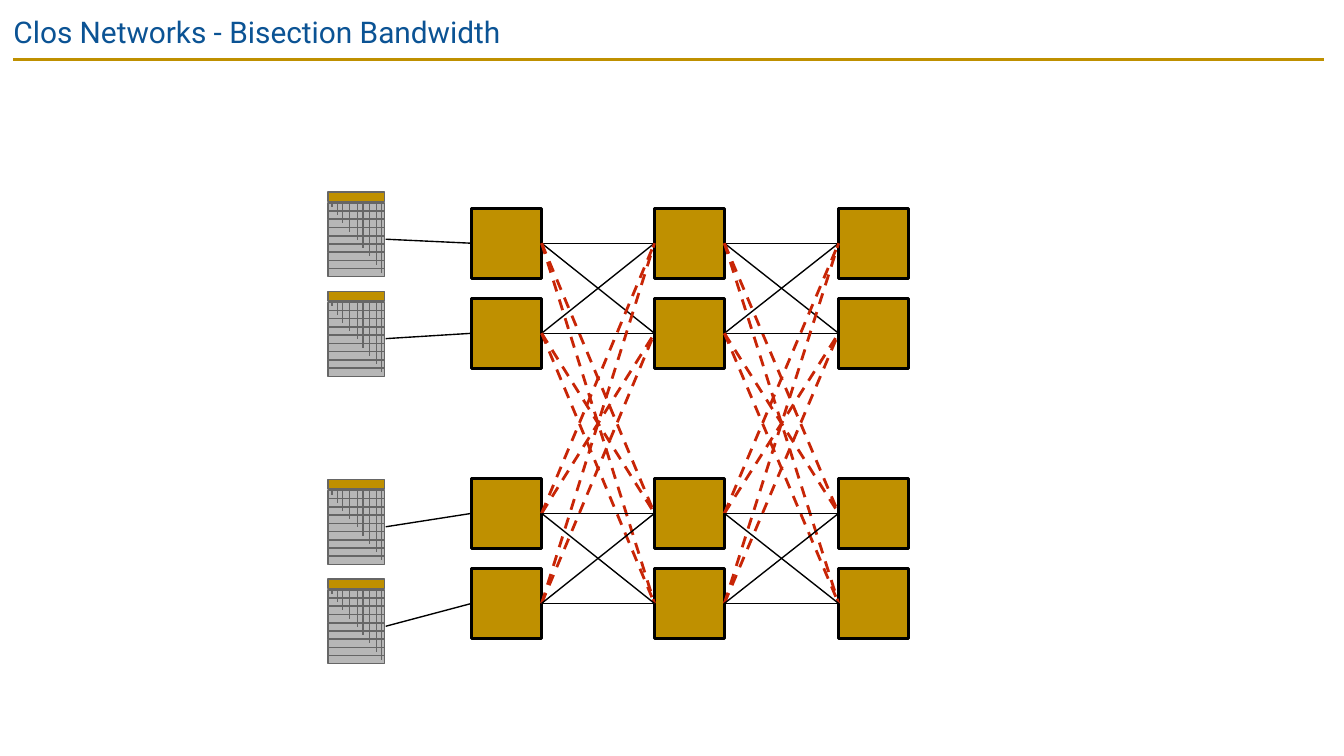
import itertools

import lxml.etree
import pptx
import pptx.dml.color
import pptx.enum.dml
import pptx.enum.shapes
import pptx.enum.text
import pptx.oxml.ns
import pptx.util

Inches = pptx.util.Inches
Pt = pptx.util.Pt


def color(value):
    return pptx.dml.color.RGBColor.from_string(value)


class Deck:
    font = "Roboto"
    blue = "0B5394"
    gold = "BF9000"
    black = "000000"
    red = "C82506"
    gray = "B7B7B7"
    dark = "666666"

    def __init__(self, prs):
        self.s = prs.slides.add_slide(prs.slide_layouts[5])

    def title(self, text, left, top, width, height):
        sp = self.s.shapes.title
        sp.left, sp.top = Inches(left), Inches(top)
        sp.width, sp.height = Inches(width), Inches(height)
        tf = sp.text_frame
        tf.word_wrap = True
        tf.auto_size = pptx.enum.text.MSO_AUTO_SIZE.NONE
        tf.vertical_anchor = pptx.enum.text.MSO_ANCHOR.TOP
        tf.margin_left = tf.margin_right = Inches(0.1)
        tf.margin_top = tf.margin_bottom = Inches(0.1)
        p = tf.paragraphs[0]
        p.alignment = pptx.enum.text.PP_ALIGN.LEFT
        r = p.add_run()
        r.text = text
        r.font.name = self.font
        r.font.size = Pt(16)
        r.font.color.rgb = color(self.blue)

    def box(self, left, top, width, height, fill, line, weight, parent=None):
        shapes = (parent or self.s).shapes
        sp = shapes.add_shape(
            pptx.enum.shapes.MSO_SHAPE.RECTANGLE,
            Inches(left), Inches(top), Inches(width), Inches(height))
        sp.shadow.inherit = False
        sp.fill.solid()
        sp.fill.fore_color.rgb = color(fill)
        sp.line.color.rgb = color(line)
        sp.line.width = Pt(weight)

    def line(self, x1, y1, x2, y2, line, weight=0.75, dashed=False, parent=None):
        shapes = (parent or self.s).shapes
        cx = shapes.add_connector(
            pptx.enum.shapes.MSO_CONNECTOR.STRAIGHT,
            Inches(x1), Inches(y1), Inches(x2), Inches(y2))
        cx.line.color.rgb = color(line)
        cx.line.width = Pt(weight)
        if dashed:
            cx.line.dash_style = pptx.enum.dml.MSO_LINE.DASH
        lxml.etree.SubElement(cx._element.spPr, pptx.oxml.ns.qn("a:effectLst"))

    def server(self, left, top):
        group = self.s.shapes.add_group_shape()
        pitch = 0.49 / 8
        for i in range(9):
            self.box(left, top + 0.08 + i * pitch, 0.42, 0.06,
                     self.gray, self.dark, 0.75, group)
        self.box(left, top, 0.42, 0.07, self.gold, self.dark, 0.75, group)
        for i, dx in enumerate((0.03, 0.07, 0.11, 0.16, 0.22, 0.26, 0.31, 0.36, 0.4)):
            self.line(left + dx, top + 0.08, left + dx, top + 0.11 + i * pitch,
                      self.dark, parent=group)


def main():
    prs = pptx.Presentation()
    prs.slide_width = Inches(10)
    prs.slide_height = prs.slide_width * 9 // 16
    deck = Deck(prs)
    deck.line(0.1, 0.44, 9.85, 0.44, deck.gold, 1.5)
    deck.title("Clos Networks - Bisection Bandwidth", 0, 0, 10, 0.43)

    size = 0.52
    stages = (3.51, 4.87, 6.24)
    switch_tops = (1.55, 2.22, 3.56, 4.23)
    server_tops = (1.43, 2.17, 3.57, 4.31)
    ports = [top + size / 2 for top in switch_tops]

    for left, top in itertools.product(stages, switch_tops):
        deck.box(left, top, size, size, deck.gold, deck.black, 1.5)

    for left, right in zip(stages, stages[1:]):
        for i, j in itertools.product(range(4), repeat=2):
            crosses = i // 2 != j // 2
            deck.line(left + size, ports[i], right, ports[j],
                      deck.red if crosses else deck.black,
                      1.5 if crosses else 0.75, crosses)

    for top, port in zip(server_tops, ports):
        deck.server(2.44, top)
        deck.line(stages[0], port, 2.87, top + 0.35, deck.black)

    prs.save("out.pptx")


if __name__ == "__main__":
    main()
